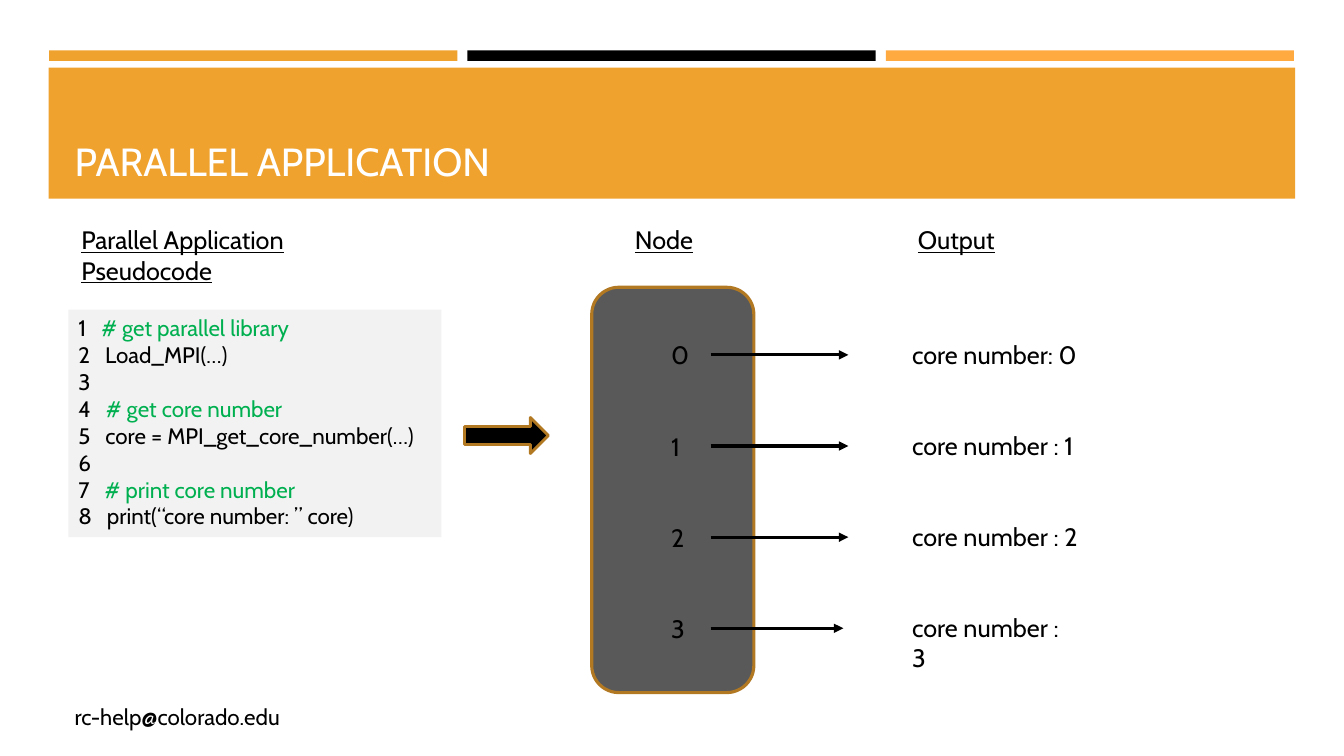
from dataclasses import dataclass

from lxml.etree import SubElement
from pptx import Presentation
from pptx.dml.color import RGBColor
from pptx.enum.shapes import MSO_CONNECTOR, MSO_SHAPE
from pptx.enum.text import MSO_ANCHOR, MSO_AUTO_SIZE, PP_ALIGN
from pptx.oxml.ns import qn
from pptx.util import Inches, Pt


@dataclass(frozen=True)
class Theme:
    font: str = "Cabin"
    orange: str = "F0A22E"
    light_orange: str = "FFA941"
    outline: str = "B27822"
    black: str = "000000"
    white: str = "FFFFFF"
    node: str = "595959"
    code_panel: str = "F2F2F2"
    comment: str = "00B050"
    title_size: int = 28
    label_size: int = 18
    code_size: int = 16


class SlideBuilder:
    columns, rows = 160, 90

    def __init__(self, presentation, theme):
        self.theme = theme
        self.column = presentation.slide_width / self.columns
        self.row = presentation.slide_height / self.rows
        self.slide = presentation.slides.add_slide(presentation.slide_layouts[5])
        self.shapes = self.slide.shapes

    def box(self, left, top, width, height):
        return (round(left * self.column), round(top * self.row),
                round(width * self.column), round(height * self.row))

    def add_run(self, paragraph, text, size, color, underline=False):
        run = paragraph.add_run()
        run.text = text
        run.font.name = self.theme.font
        run.font.size = Pt(size)
        run.font.color.rgb = RGBColor.from_string(color)
        if underline:
            run.font.underline = True

    def title(self, text, *place):
        shape = self.shapes.title
        shape.left, shape.top, shape.width, shape.height = self.box(*place)
        frame = shape.text_frame
        frame.word_wrap = True
        frame.auto_size = MSO_AUTO_SIZE.NONE
        frame.vertical_anchor = MSO_ANCHOR.BOTTOM
        paragraph = frame.paragraphs[0]
        paragraph.alignment = PP_ALIGN.LEFT
        self.add_run(paragraph, text, self.theme.title_size, self.theme.white)

    def panel(self, kind, fill, *place, line_width=None):
        shape = self.shapes.add_shape(kind, *self.box(*place))
        shape.shadow.inherit = False
        shape.fill.solid()
        shape.fill.fore_color.rgb = RGBColor.from_string(fill)
        if line_width:
            shape.line.color.rgb = RGBColor.from_string(self.theme.outline)
            shape.line.width = Pt(line_width)
        else:
            shape.line.fill.background()
        return shape

    def label(self, text, *place, size=None, underline=False,
              alignment=PP_ALIGN.LEFT, anchor=MSO_ANCHOR.TOP):
        frame = self.shapes.add_textbox(*self.box(*place)).text_frame
        frame.word_wrap = True
        frame.auto_size = MSO_AUTO_SIZE.SHAPE_TO_FIT_TEXT
        frame.vertical_anchor = anchor
        paragraph = frame.paragraphs[0]
        paragraph.alignment = alignment
        self.add_run(paragraph, text, size or self.theme.label_size,
                     self.theme.black, underline)

    def code(self, lines, *place):
        frame = self.panel(MSO_SHAPE.RECTANGLE, self.theme.code_panel, *place).text_frame
        frame.word_wrap = True
        frame.vertical_anchor = MSO_ANCHOR.TOP
        for number, line in enumerate(lines, 1):
            paragraph = frame.paragraphs[0] if number == 1 else frame.add_paragraph()
            paragraph.alignment = PP_ALIGN.LEFT
            prefix = f"{number}   " if line else str(number)
            self.add_run(paragraph, prefix, self.theme.code_size, self.theme.black)
            if line:
                color = self.theme.comment if line.startswith("#") else self.theme.black
                self.add_run(paragraph, line, self.theme.code_size, color)

    def arrow(self, start, end, level):
        left, top, width, _ = self.box(start, level, end - start, 0)
        connector = self.shapes.add_connector(
            MSO_CONNECTOR.STRAIGHT, left, top, left + width, top)
        connector.line.color.rgb = RGBColor.from_string(self.theme.black)
        connector.line.width = Pt(2.25)
        SubElement(connector.line._get_or_add_ln(), qn("a:tailEnd"), type="triangle")
        SubElement(connector._element.spPr, qn("a:effectLst"))


def main():
    presentation = Presentation()
    presentation.slide_width = Inches(13.33)
    presentation.slide_height = Inches(7.5)
    theme = Theme()
    builder = SlideBuilder(presentation, theme)

    for index, color in enumerate((theme.orange, theme.black, theme.light_orange)):
        builder.panel(MSO_SHAPE.RECTANGLE, color, 5.85 + 49.8 * index, 6, 48.6, 1.25)
    banner = builder.panel(MSO_SHAPE.RECTANGLE, theme.orange, 5.8, 8.05, 148.4, 15.6)
    title_element = builder.shapes.title._element
    banner._element.addnext(title_element)
    builder.title("PARALLEL APPLICATION", 7.7, 9.25, 144.7, 13.3)

    headings = (("Parallel Application Pseudocode", 8.5, 42.3),
                ("Node", 74.4, 10.1), ("Output", 108.1, 13))
    for text, left, width in headings:
        builder.label(text, left, 26.15, width, 4.8, underline=True)

    builder.code((
        "# get parallel library",
        "Load_MPI(…)",
        "",
        "# get core number",
        "core = MPI_get_core_number(…)",
        "",
        "# print core number",
        "print(“core number: ” core)",
    ), 8.15, 36.85, 44.4, 27.1)
    builder.panel(MSO_SHAPE.RIGHT_ARROW, theme.black, 55.3, 49.7, 10, 4.3, line_width=2)
    builder.panel(MSO_SHAPE.ROUNDED_RECTANGLE, theme.node,
                  70.45, 34.2, 19.3, 48.25, line_width=2.25)

    outputs = (("core number: 0", 101, 22.8), ("core number : 1", 101, 22.8),
               ("core number : 2", 101, 22.8), ("core number : 3", 100.4, 21.6))
    for core, (text, arrow_end, width) in enumerate(outputs):
        level = 42.25 + 10.85 * core
        builder.arrow(84.6, arrow_end, level)
        builder.label(str(core), 78.7, level - 2.4, 3.15, 4.8, alignment=PP_ALIGN.CENTER)
        builder.label(text, 107.4, level - 2.5, width, 4.8)

    builder.label("rc-help@colorado.edu", 7.7, 82.9, 90.7, 4.8,
                  size=theme.code_size, anchor=MSO_ANCHOR.MIDDLE)
    presentation.save("out.pptx")


if __name__ == "__main__":
    main()
